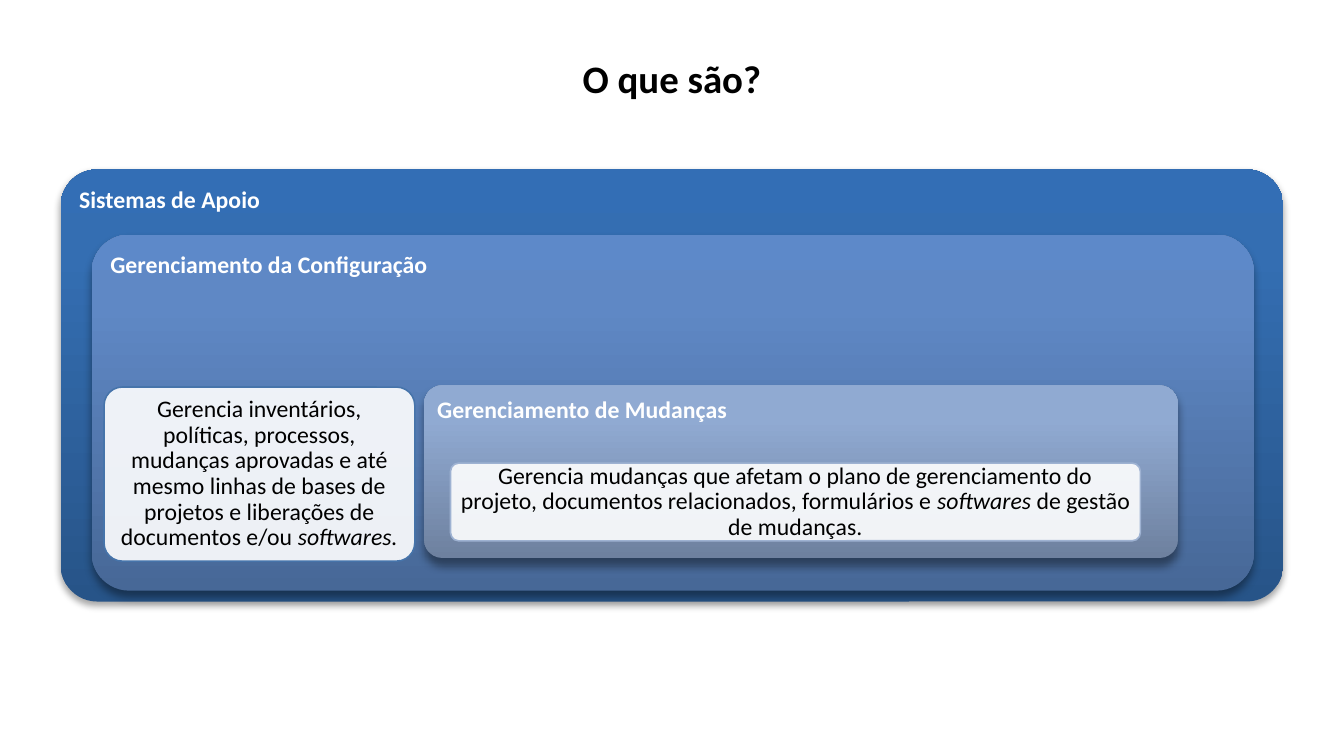
from copy import deepcopy

from pptx import Presentation
from pptx.dml.color import RGBColor
from pptx.enum.shapes import MSO_SHAPE
from pptx.enum.text import MSO_ANCHOR, MSO_AUTO_SIZE, PP_ALIGN
from pptx.oxml.ns import qn
from pptx.oxml.xmlchemy import OxmlElement
from pptx.util import Inches, Pt

BLACK = RGBColor(0x00, 0x00, 0x00)
WHITE = RGBColor(0xFF, 0xFF, 0xFF)
OUTER_BLUES = [RGBColor(0x27, 0x54, 0x88), RGBColor(0x34, 0x6E, 0xB2), RGBColor(0x33, 0x6E, 0xB5)]
MIDDLE_BLUES = [RGBColor(0x47, 0x68, 0x97), RGBColor(0x5F, 0x88, 0xC5), RGBColor(0x5D, 0x89, 0xC9)]
INNER_BLUES = [RGBColor(0x6E, 0x81, 0x9F), RGBColor(0x90, 0xAA, 0xD2), RGBColor(0x90, 0xAB, 0xD4)]
CONFIG_LINE = RGBColor(0x46, 0x74, 0xAA)
CHANGE_LINE = RGBColor(0x9E, 0xB2, 0xD2)
STOPS = [0, 0.8, 1]

TITLE = "O que são?"
SOFT_SHADOW = (35, 3.1, 1.8)
DEEP_SHADOW = (40, 4, 3)

PANELS = [
    ("Sistemas de Apoio", (0.39, 1.09, 7.87, 2.78), 0.085, OUTER_BLUES, SOFT_SHADOW),
    ("Gerenciamento da Configuração", (0.59, 1.51, 7.48, 2.29), 0.105, MIDDLE_BLUES, DEEP_SHADOW),
    ("Gerenciamento de Mudanças", (2.73, 2.48, 4.85, 1.11), 0.105, INNER_BLUES, DEEP_SHADOW),
]
CARDS = [
    ([("Gerencia inventários, políticas, processos, mudanças aprovadas e até mesmo "
       "linhas de bases de projetos e liberações de documentos e/ou ", False),
      ("softwares.", True)],
     (0.67, 2.49, 2, 1.12), CONFIG_LINE),
    ([("Gerencia mudanças que afetam o plano de gerenciamento do projeto, "
       "documentos relacionados, formulários e ", False),
      ("softwares", True), (" de gestão de mudanças.", False)],
     (2.9, 2.98, 4.44, 0.5), CHANGE_LINE),
]


def add_box(s, runs, box, radius, color, bold, align, anchor):
    """Add a rounded rectangle holding one paragraph of runs."""
    sp = s.shapes.add_shape(MSO_SHAPE.ROUNDED_RECTANGLE, *map(Inches, box))
    sp.adjustments[0] = radius
    sp.shadow.inherit = False
    tf = sp.text_frame
    tf.word_wrap = True
    tf.vertical_anchor = anchor
    tf.margin_left = tf.margin_right = tf.margin_top = tf.margin_bottom = Inches(0.05)
    p = tf.paragraphs[0]
    p.alignment = align
    p.line_spacing = 0.9
    p.font.name, p.font.size, p.font.bold = "Calibri", Pt(11), bold
    p.font.color.rgb = color
    for text, italic in runs:
        r = p.add_run()
        r.text = text
        if italic:
            r.font.italic = True
    return sp


def add_alpha(color, percent):
    """Set the opacity of a colour element."""
    alpha = OxmlElement("a:alpha")
    alpha.set("val", str(percent * 1000))
    color.append(alpha)


def add_shadow(sp, percent, blur, distance):
    """Give a shape a black shadow that falls downwards."""
    shadow = OxmlElement("a:outerShdw")
    for key, value in (("blurRad", Pt(blur)), ("dist", Pt(distance)),
                       ("dir", 90 * 60000), ("rotWithShape", 0)):
        shadow.set(key, str(int(value)))
    color = OxmlElement("a:srgbClr")
    color.set("val", str(BLACK))
    add_alpha(color, percent)
    shadow.append(color)
    sp._element.spPr.find(qn("a:effectLst")).append(shadow)


def add_panel(s, label, box, radius, blues, shadow):
    """Add a gradient panel with its label at the top left."""
    sp = add_box(s, [(label, False)], box, radius, WHITE, True, PP_ALIGN.LEFT, MSO_ANCHOR.TOP)
    sp.line.fill.background()
    sp.fill.gradient()
    sp.fill.gradient_angle = 90
    stop_list = sp._element.spPr.find(qn("a:gradFill")).find(qn("a:gsLst"))
    stop_list.append(deepcopy(stop_list[0]))
    for stop, position, blue in zip(sp.fill.gradient_stops, STOPS, blues):
        stop.position = position
        stop.color.rgb = blue
    add_shadow(sp, *shadow)


def add_card(s, runs, box, line):
    """Add a translucent white card with centred text."""
    sp = add_box(s, runs, box, 0.105, BLACK, False, PP_ALIGN.CENTER, MSO_ANCHOR.MIDDLE)
    sp.fill.solid()
    sp.fill.fore_color.rgb = WHITE
    add_alpha(sp._element.spPr.find(qn("a:solidFill"))[0], 90)
    sp.line.color.rgb = line
    sp.line.width = Pt(0.75)


def add_title(s):
    """Place and format the slide title."""
    title = s.shapes.title
    title.left, title.top, title.width, title.height = map(Inches, (0, 0.3, 8.65, 0.4))
    tf = title.text_frame
    tf.text = TITLE
    tf.auto_size = MSO_AUTO_SIZE.NONE
    tf.vertical_anchor = MSO_ANCHOR.TOP
    p = tf.paragraphs[0]
    p.alignment = PP_ALIGN.CENTER
    p.font.name, p.font.size, p.font.bold = "Calibri", Pt(18), True
    p.font.color.rgb = BLACK


def main():
    """Build the slide of nested support systems."""
    prs = Presentation()
    prs.slide_width, prs.slide_height = Inches(8.65), Inches(4.69)
    s = prs.slides.add_slide(prs.slide_layouts[5])
    add_title(s)
    for panel in PANELS:
        add_panel(s, *panel)
    for card in CARDS:
        add_card(s, *card)
    prs.save("out.pptx")


if __name__ == "__main__":
    main()
